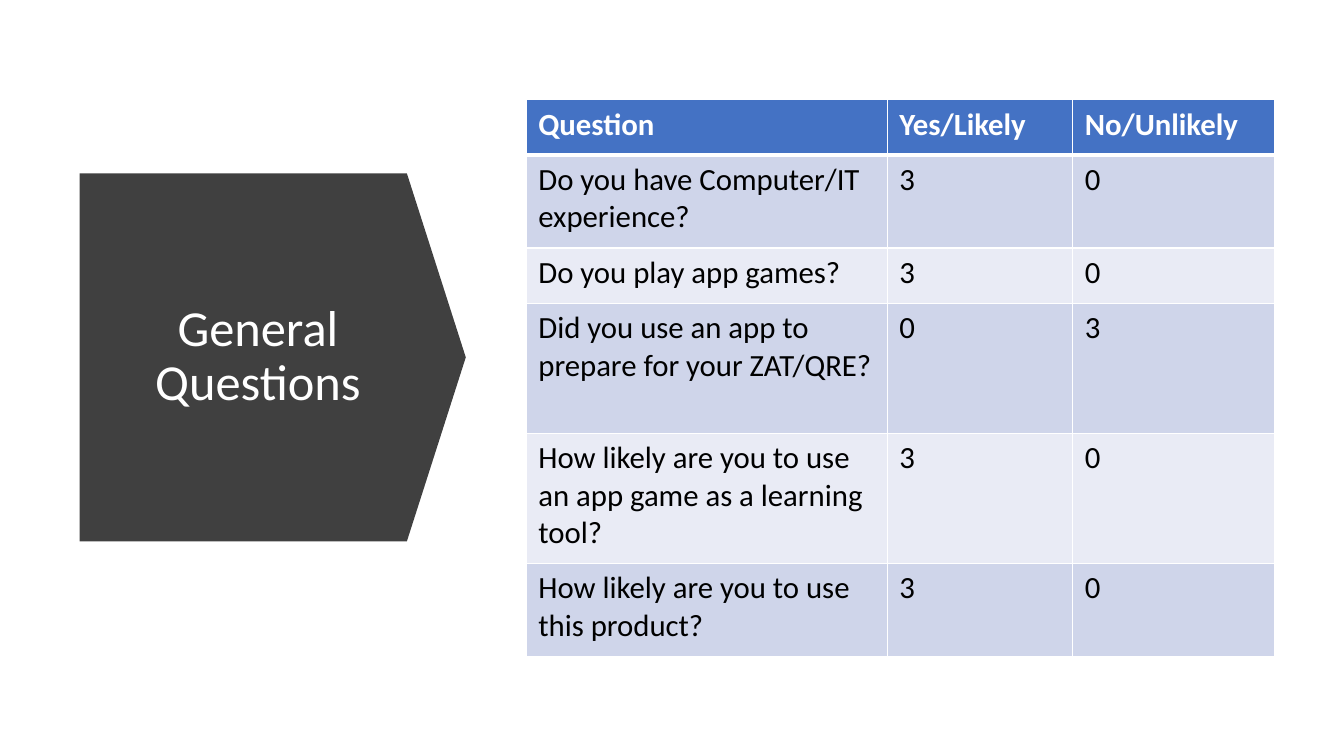
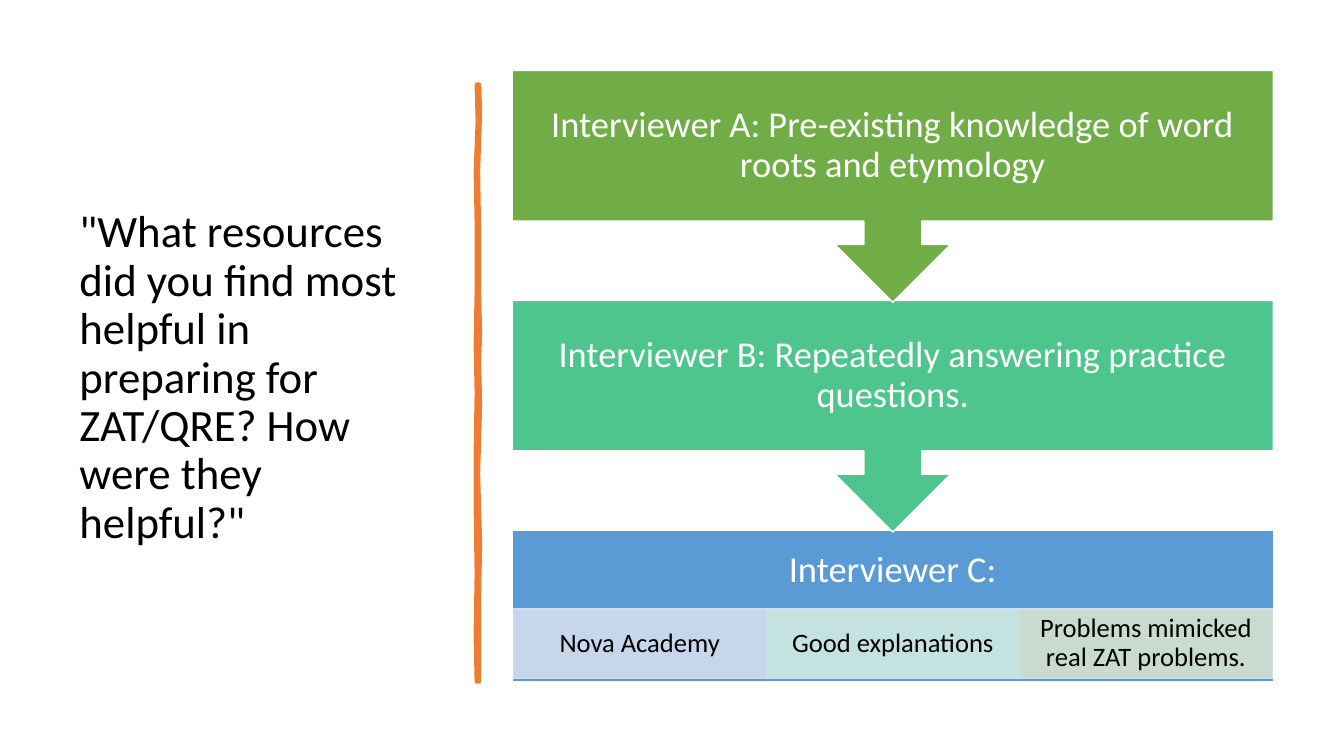
from lxml.etree import SubElement
from pptx import Presentation
from pptx.dml.color import RGBColor
from pptx.enum.shapes import MSO_SHAPE
from pptx.enum.text import MSO_ANCHOR, PP_ALIGN
from pptx.oxml.ns import qn
from pptx.util import Inches, Pt

FONT = "Calibri"
WHITE, BLACK, CHARCOAL, ORANGE = "FFFFFF", "000000", "404040", "ED7D31"
HEADER_FILL, ROW_FILLS = "4472C4", ("CFD5EA", "E9EBF5")

SURVEY_TITLE = "General Questions"
SURVEY_ROWS = [
    ("Question", "Yes/Likely", "No/Unlikely"),
    ("Do you have Computer/IT experience?", "3", "0"),
    ("Do you play app games?", "3", "0"),
    ("Did you use an app to prepare for your ZAT/QRE?", "0", "3"),
    ("How likely are you to use an app game as a learning tool?", "3", "0"),
    ("How likely are you to use this product?", "3", "0"),
]
COLUMN_WIDTHS = (3.58, 1.84, 2)
ROW_HEIGHTS = (0.55, 0.92, 0.55, 1.29, 1.29, 0.92)

RESOURCE_TITLE = ('"What resources did you find most helpful in preparing for '
                  'ZAT/QRE? How were they helpful?"')
ANSWERS = [
    ("Interviewer A: Pre-existing knowledge of word roots and etymology", "70AD47"),
    ("Interviewer B: Repeatedly answering practice questions.", "4DC58D"),
]
LAST_ANSWER, LAST_FILL = "Interviewer C:", "5B9BD5"
LAST_DETAILS = [
    ("Nova Academy", "D2DEEF"),
    ("Good explanations", "D0EAE1"),
    ("Problems mimicked real ZAT problems.", "D5E3CF"),
]
DETAIL_LINE, DETAIL_OPACITY = "D2DEEF", 90
FLOW_LEFT, FLOW_TOP, FLOW_WIDTH, FLOW_STEP = 5.08, 0.7, 7.55, 2.28
CALLOUT_HEIGHT, LAST_HEIGHT, LAST_HEADING = 2.3, 1.5, 0.81
DETAIL_LEFT, DETAIL_TOP, DETAIL_WIDTH, DETAIL_HEIGHT = 5.09, 6.04, 2.51, 0.69

STROKE_RIGHT = [(4.75, 0.84), (4.76, 1.1), (4.74, 1.7), (4.75, 2.3), (4.75, 2.9),
                (4.76, 3.3), (4.75, 3.6), (4.76, 4), (4.75, 4.36), (4.74, 4.7),
                (4.76, 5.4), (4.75, 5.9), (4.75, 6.76)]
STROKE_LEFT = [(4.73, 6.76), (4.72, 6.3), (4.73, 5.7), (4.72, 5), (4.72, 4.5),
               (4.73, 3.9), (4.72, 3.4), (4.73, 2.9), (4.73, 2.2), (4.72, 1.7),
               (4.74, 1.2), (4.73, 0.84)]


def color(value):
    return RGBColor.from_string(value)


def write(frame, text, size, ink=BLACK, bold=False, align=PP_ALIGN.LEFT,
          spacing=None, margins=(0.1, 0.05), anchor=MSO_ANCHOR.MIDDLE):
    frame.word_wrap = True
    frame.vertical_anchor = anchor
    frame.margin_left = frame.margin_right = Inches(margins[0])
    frame.margin_top = frame.margin_bottom = Inches(margins[1])
    para = frame.paragraphs[0]
    para.alignment = align
    if spacing:
        para.line_spacing = spacing
    span = para.add_run()
    span.text = text
    span.font.name, span.font.size, span.font.bold = FONT, Pt(size), bold
    span.font.color.rgb = color(ink)


def paint(shape, fill, line=None, width=1, opacity=None):
    shape.shadow.inherit = False
    shape.fill.solid()
    shape.fill.fore_color.rgb = color(fill)
    if opacity:
        tint = shape.element.spPr.find(qn("a:solidFill")).find(qn("a:srgbClr"))
        SubElement(tint, qn("a:alpha"), val=str(opacity * 1000))
    if line:
        shape.line.color.rgb = color(line)
        shape.line.width = Pt(width)
    else:
        shape.line.fill.background()


def add_block(page, kind, place, **look):
    block = page.shapes.add_shape(kind, *map(Inches, place))
    paint(block, **look)
    return block


def add_label(page, place, text, size, **style):
    box = page.shapes.add_textbox(*map(Inches, place))
    write(box.text_frame, text, size, spacing=0.9, **style)


def add_border(cell, side, width):
    edge = SubElement(cell._tc.get_or_add_tcPr(), qn(f"a:ln{side}"), w=str(Pt(width)))
    fill = SubElement(edge, qn("a:solidFill"))
    SubElement(fill, qn("a:srgbClr"), val=WHITE)


def fill_cell(cell, text, row):
    header = row == 0
    write(cell.text_frame, text, 22, ink=WHITE if header else BLACK, bold=header)
    cell.vertical_anchor = MSO_ANCHOR.TOP
    cell.margin_left = cell.margin_right = Inches(0.12)
    cell.margin_top = cell.margin_bottom = Inches(0.06)
    widths = {"L": 1, "R": 1, "T": 3 if row == 1 else 1, "B": 3 if header else 1}
    for side, width in widths.items():
        add_border(cell, side, width)
    cell.fill.solid()
    cell.fill.fore_color.rgb = color(HEADER_FILL if header else ROW_FILLS[(row - 1) % 2])


def build_survey(page):
    banner = add_block(page, MSO_SHAPE.PENTAGON, (0.79, 1.72, 3.83, 3.65), fill=CHARCOAL)
    banner.adjustments[0] = 0.16
    write(banner.text_frame, SURVEY_TITLE, 36, ink=WHITE, align=PP_ALIGN.CENTER,
          spacing=0.9, margins=(0.4, 0.05))
    place = (5.22, 0.99, sum(COLUMN_WIDTHS), sum(ROW_HEIGHTS))
    table = page.shapes.add_table(len(SURVEY_ROWS), len(COLUMN_WIDTHS),
                                  *map(Inches, place)).table
    for column, width in zip(table.columns, COLUMN_WIDTHS):
        column.width = Inches(width)
    for row, (texts, height) in enumerate(zip(SURVEY_ROWS, ROW_HEIGHTS)):
        table.rows[row].height = Inches(height)
        for column, text in enumerate(texts):
            fill_cell(table.cell(row, column), text, row)


def add_stroke(page):
    points = [(Inches(x), Inches(y)) for x, y in STROKE_RIGHT + STROKE_LEFT]
    outline = page.shapes.build_freeform(*points[0])
    outline.add_line_segments(points[1:], close=True)
    paint(outline.convert_to_shape(), ORANGE, line=ORANGE, width=3.25)


def build_resources(page):
    heading = dict(size=26, ink=WHITE, align=PP_ALIGN.CENTER, margins=(0.2, 0.2))
    add_label(page, (0.69, 0.7, 3.74, 6.11), RESOURCE_TITLE, 32)
    add_stroke(page)
    last_top = FLOW_TOP + len(ANSWERS) * FLOW_STEP
    add_block(page, MSO_SHAPE.RECTANGLE, (FLOW_LEFT, last_top, FLOW_WIDTH, LAST_HEIGHT),
              fill=LAST_FILL, line=WHITE)
    add_label(page, (FLOW_LEFT, last_top, FLOW_WIDTH, LAST_HEADING), LAST_ANSWER, **heading)
    for index, (text, fill) in enumerate(LAST_DETAILS):
        place = (DETAIL_LEFT + index * DETAIL_WIDTH, DETAIL_TOP, DETAIL_WIDTH, DETAIL_HEIGHT)
        detail = add_block(page, MSO_SHAPE.RECTANGLE, place, fill=fill,
                           line=DETAIL_LINE, opacity=DETAIL_OPACITY)
        write(detail.text_frame, text, 19, align=PP_ALIGN.CENTER, spacing=0.9,
              margins=(0.15, 0.03))
    for index, (text, fill) in reversed(list(enumerate(ANSWERS))):
        place = (FLOW_LEFT, FLOW_TOP + index * FLOW_STEP, FLOW_WIDTH, CALLOUT_HEIGHT)
        callout = add_block(page, MSO_SHAPE.DOWN_ARROW_CALLOUT, place, fill=fill, line=WHITE)
        write(callout.text_frame, text, spacing=0.9, **heading)


def main():
    """Build the survey and resources slides and save the deck."""
    deck = Presentation()
    deck.slide_width, deck.slide_height = Inches(13.33), Inches(7.5)
    for build in (build_survey, build_resources):
        build(deck.slides.add_slide(deck.slide_layouts[6]))
    deck.save("out.pptx")


if __name__ == "__main__":
    main()
